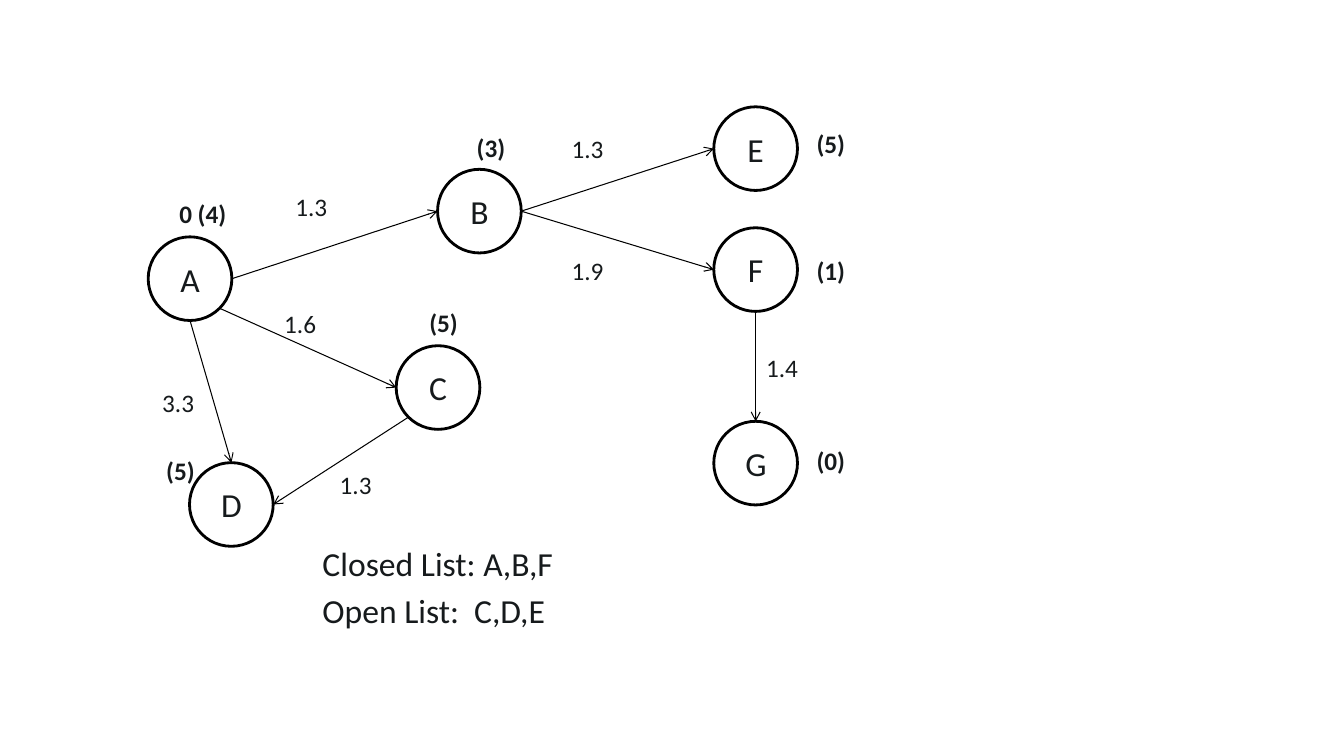
from math import cos, radians, sin

from lxml.etree import SubElement
from pptx import Presentation
from pptx.dml.color import RGBColor
from pptx.enum.shapes import MSO_CONNECTOR, MSO_SHAPE
from pptx.enum.text import MSO_AUTO_SIZE, PP_ALIGN
from pptx.oxml.ns import qn
from pptx.util import Inches, Pt

BLACK = RGBColor(0x00, 0x00, 0x00)
INK = RGBColor(0x16, 0x1A, 0x1C)

DIAMETER = 0.83
RIGHT, LOWER_RIGHT, BOTTOM, LOWER_LEFT, LEFT, TOP = 0, 45, 90, 135, 180, 270

NODE_CORNERS = {
    "A": (1.47, 2.35), "B": (4.34, 1.68), "C": (3.93, 3.43), "D": (1.88, 4.59),
    "E": (7.08, 1.06), "F": (7.08, 2.26), "G": (7.08, 4.18),
}
EDGES = [
    ("A", RIGHT, "B", LEFT, "1.3", (2.83, 1.85)),
    ("A", LOWER_RIGHT, "C", LEFT, "1.6", (2.72, 3.01)),
    ("A", BOTTOM, "D", TOP, "3.3", (1.51, 3.79)),
    ("B", RIGHT, "E", LEFT, "1.3", (5.57, 1.27)),
    ("B", RIGHT, "F", LEFT, "1.9", (5.57, 2.48)),
    ("C", LOWER_LEFT, "D", RIGHT, "1.3", (3.27, 4.61)),
    ("F", BOTTOM, "G", TOP, "1.4", (7.5, 3.45)),
]
HEURISTICS = [
    ("0 (4)", 1.68, 1.92, 0.67), ("(3)", 4.63, 1.26, 0.49),
    ("(5)", 4.16, 3.0, 0.49), ("(5)", 1.55, 4.47, 0.49),
    ("(5)", 8.0, 1.22, 0.49), ("(1)", 8.0, 2.48, 0.49),
    ("(0)", 8.0, 4.37, 0.49),
]
SEARCH_LISTS = ["Closed List: A,B,F", "Open List:  C,D,E"]


class GraphSlide:
    """Draws the nodes, edges and labels of a search graph on one slide."""

    letter = {"name": "Calibri", "size": Pt(24)}
    weight = {"name": "Calibri", "size": Pt(18)}
    heuristic = {**weight, "bold": True}

    def __init__(self, slide):
        self.shapes = slide.shapes

    def text(self, lines, left, top, width, height, style, align=PP_ALIGN.LEFT):
        box = self.shapes.add_textbox(*map(Inches, (left, top, width, height)))
        frame = box.text_frame
        frame.word_wrap = False
        frame.auto_size = MSO_AUTO_SIZE.SHAPE_TO_FIT_TEXT
        for index, line in enumerate(lines):
            paragraph = frame.add_paragraph() if index else frame.paragraphs[0]
            paragraph.alignment = align
            if index:
                paragraph.space_before = Pt(style["size"].pt * 0.2)
            run = paragraph.add_run()
            run.text = line
            for attribute, value in style.items():
                setattr(run.font, attribute, value)
            run.font.color.rgb = INK

    def node(self, letter, left, top):
        circle = self.shapes.add_shape(
            MSO_SHAPE.OVAL, *map(Inches, (left, top, DIAMETER, DIAMETER)))
        circle.shadow.inherit = False
        circle.fill.background()
        circle.line.color.rgb = BLACK
        circle.line.width = Pt(2)
        width, height = 0.4, 0.5
        self.text([letter], left + (DIAMETER - width) / 2,
                  top + (DIAMETER - height) / 2, width, height,
                  self.letter, PP_ALIGN.CENTER)

    def rim(self, letter, angle):
        left, top = NODE_CORNERS[letter]
        radius = DIAMETER / 2
        return (Inches(left + radius * (1 + cos(radians(angle)))),
                Inches(top + radius * (1 + sin(radians(angle)))))

    def edge(self, start, start_angle, end, end_angle):
        arrow = self.shapes.add_connector(
            MSO_CONNECTOR.STRAIGHT,
            *self.rim(start, start_angle), *self.rim(end, end_angle))
        arrow.line.color.rgb = BLACK
        arrow.line.width = Pt(0.75)
        outline = arrow._element.spPr.find(qn("a:ln"))
        SubElement(outline, qn("a:tailEnd"), type="arrow")
        SubElement(arrow._element.spPr, qn("a:effectLst"))


def main():
    presentation = Presentation()
    presentation.slide_width = Inches(13.33)
    presentation.slide_height = Inches(7.5)
    graph = GraphSlide(presentation.slides.add_slide(presentation.slide_layouts[6]))

    for letter, corner in NODE_CORNERS.items():
        graph.node(letter, *corner)
    for start, start_angle, end, end_angle, cost, (left, top) in EDGES:
        graph.edge(start, start_angle, end, end_angle)
        graph.text([cost], left, top, 0.52, 0.4, graph.weight)
    for estimate, left, top, width in HEURISTICS:
        graph.text([estimate], left, top, width, 0.4, graph.heuristic)
    graph.text(SEARCH_LISTS, 3.1, 5.34, 2.53, 0.99, graph.letter)

    presentation.save("out.pptx")


if __name__ == "__main__":
    main()
